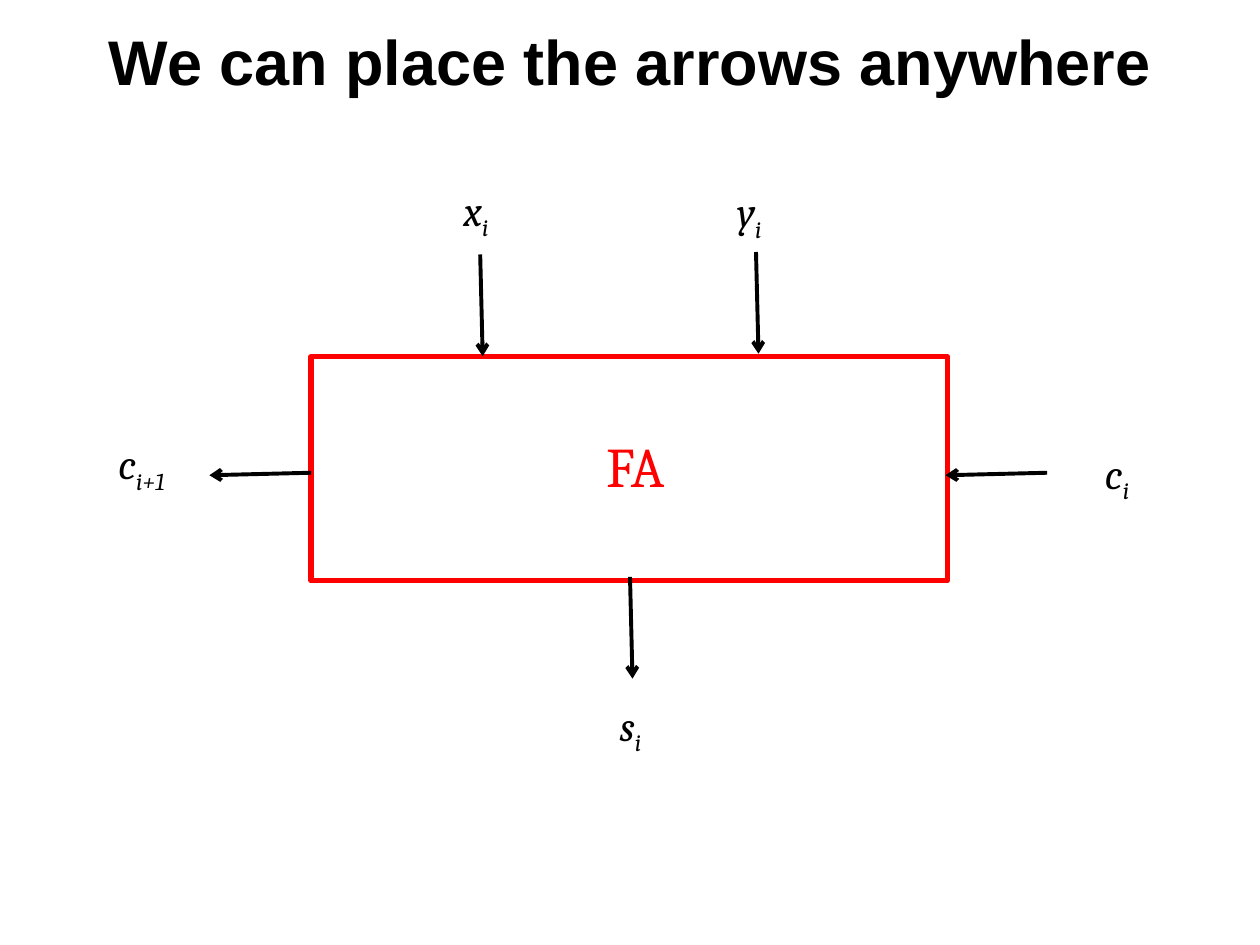
"""Build a slide showing a full adder block with its input and output arrows."""
from lxml import etree
from pptx import Presentation
from pptx.dml.color import RGBColor
from pptx.enum.shapes import MSO_CONNECTOR, MSO_SHAPE
from pptx.enum.text import MSO_ANCHOR, MSO_AUTO_SIZE, PP_ALIGN
from pptx.oxml.ns import qn
from pptx.util import Cm, Pt

STRAIGHT = MSO_CONNECTOR.STRAIGHT
RECTANGLE = MSO_SHAPE.RECTANGLE
TOP = MSO_ANCHOR.TOP
FIT = MSO_AUTO_SIZE.SHAPE_TO_FIT_TEXT
NO_FIT = MSO_AUTO_SIZE.NONE
CENTER, LEFT = PP_ALIGN.CENTER, PP_ALIGN.LEFT

COLORS = {"ink": "000000", "block": "FF0000"}
TITLE = "We can place the arrows anywhere"
BLOCK_NAME = "FA"
BLOCK = (6.27, 7.19, 12.83, 4.52)
ARROW_LENGTH, ARROW_DRIFT = 2.05, 0.05
DOWN, WEST = (ARROW_DRIFT, ARROW_LENGTH), (-ARROW_LENGTH, ARROW_DRIFT)
SIGNALS = [
    ("x", "i", (9.09, 3.58, 1.22), (9.68, 5.13), DOWN),
    ("y", "i", (14.61, 3.61, 1.22), (15.24, 5.08), DOWN),
    ("c", "i", (22.02, 8.89, 1.22), (21.11, 9.53), WEST),
    ("s", "i", (12.24, 13.97, 1.19), (12.7, 11.63), DOWN),
    ("c", "i+1", (2.13, 8.69, 1.91), (6.27, 9.53), WEST),
]


def rgb(name):
    return RGBColor.from_string(COLORS[name])


def add_text(s, box, runs, size, font, color="ink", wrap=False, align=LEFT,
             bold=False, italic=False, margins=(0.25, 0.13)):
    tf = s.shapes.add_textbox(*map(Cm, box)).text_frame
    tf.word_wrap = wrap
    tf.auto_size = NO_FIT if wrap else FIT
    tf.vertical_anchor = TOP
    tf.margin_left = tf.margin_right = Cm(margins[0])
    tf.margin_top = tf.margin_bottom = Cm(margins[1])
    p = tf.paragraphs[0]
    p.alignment = align
    for text, baseline in runs:
        r = p.add_run()
        r.text = text
        r.font.size, r.font.name = Pt(size), font
        r.font.bold, r.font.italic = bold, italic
        r.font.color.rgb = rgb(color)
        if baseline:
            r.font._element.set("baseline", str(baseline * 1000))


def add_block(s):
    block = s.shapes.add_shape(RECTANGLE, *map(Cm, BLOCK))
    block.shadow.inherit = False
    block.fill.background()
    block.line.color.rgb = rgb("block")
    block.line.width = Pt(3)


def add_arrow(s, start, step):
    x, y = start
    dx, dy = step
    arrow = s.shapes.add_connector(STRAIGHT, *map(Cm, (x, y, x + dx, y + dy)))
    arrow.line.color.rgb = rgb("ink")
    arrow.line.width = Pt(2.25)
    etree.SubElement(arrow.line._get_or_add_ln(), qn("a:tailEnd"), type="arrow")
    etree.SubElement(arrow._element.spPr, qn("a:effectLst"))


def main():
    prs = Presentation()
    prs.slide_width, prs.slide_height = Cm(25.4), Cm(19.05)
    s = prs.slides.add_slide(prs.slide_layouts[6])
    add_text(s, (12.22, 8.69, 1.37, 1.37), [(BLOCK_NAME, 0)], 32, "Cambria",
             color="block", margins=(0, 0))
    add_text(s, (0, 0.2, 25.4, 2.34), [(TITLE, 0)], 36, "Arial", wrap=True,
             align=CENTER, bold=True, margins=(0.25, 0.25))
    add_block(s)
    for name, index, (left, top, width), start, step in SIGNALS:
        add_arrow(s, start, step)
        add_text(s, (left, top, width, 1.3), [(name, 0), (index, -25)], 24,
                 "Cambria", italic=True)
    prs.save("out.pptx")


if __name__ == "__main__":
    main()
